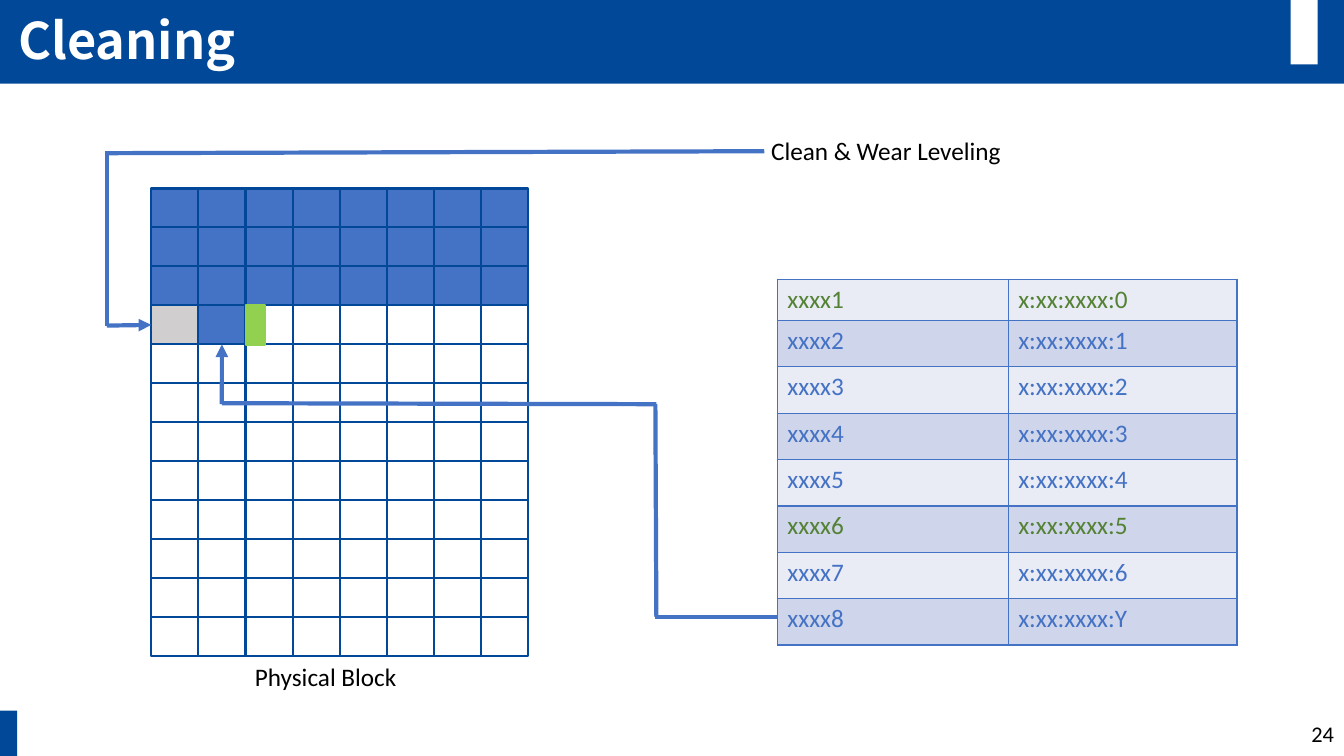
from lxml import etree
from pptx import Presentation
from pptx.dml.color import RGBColor
from pptx.enum.shapes import MSO_CONNECTOR, MSO_SHAPE
from pptx.enum.text import MSO_ANCHOR, MSO_AUTO_SIZE, PP_ALIGN
from pptx.oxml.ns import qn
from pptx.util import Inches, Pt

RECTANGLE = MSO_SHAPE.RECTANGLE
STRAIGHT = MSO_CONNECTOR.STRAIGHT
TOP, MIDDLE, BOTTOM = MSO_ANCHOR.TOP, MSO_ANCHOR.MIDDLE, MSO_ANCHOR.BOTTOM
LEFT, RIGHT = PP_ALIGN.LEFT, PP_ALIGN.RIGHT
NO_FIT = MSO_AUTO_SIZE.NONE

NAVY, BLUE, WHITE, BLACK = "014898", "4472C4", "FFFFFF", "000000"
GREY, LIME, GREEN = "D0CECE", "92D050", "548235"
PALE_BANDS = ["E9EBF5", "CFD5EA"]


def paint(fill, color):
    fill.solid()
    fill.fore_color.rgb = RGBColor.from_string(color)


def add_block(bounds, color, outline=None):
    block = slide.shapes.add_shape(RECTANGLE, *map(Inches, bounds))
    block.shadow.inherit = False
    paint(block.fill, color)
    if outline:
        paint(block.line.fill, outline)
        block.line.width = Pt(1.5)
    else:
        block.line.fill.background()
    return block


presentation = Presentation()
presentation.slide_width = Inches(13.33)
presentation.slide_height = Inches(7.5)
slide = presentation.slides.add_slide(presentation.slide_layouts[5])

add_block((0, 0, 13.33, 0.83), NAVY)
add_block((12.8, 0, 0.27, 0.64), WHITE)
add_block((-0.01, 7.05, 0.18, 0.46), NAVY)

heading = slide.shapes.title
heading.element.getparent().append(heading.element)
heading_bounds = {"left": 0.08, "top": -0.08, "width": 11.5, "height": 0.83}
for side, length in heading_bounds.items():
    setattr(heading, side, Inches(length))

page_number, block_caption, cleaning_label = [
    slide.shapes.add_textbox(*map(Inches, bounds))
    for bounds in [
        (10.33, 7.08, 3, 0.4),
        (2.43, 6.51, 1.65, 0.4),
        (7.55, 1.29, 2.78, 0.4),
    ]
]
body_font = {"name": "Calibri", "size": Pt(18)}
captions = [
    (heading, "Cleaning", WHITE, BOTTOM,
     {"alignment": LEFT, "line_spacing": 0.9},
     {"name": "Noto Sans CJK KR", "size": Pt(36), "bold": True}),
    (page_number, "24", BLACK, MIDDLE, {"alignment": RIGHT},
     {"name": "Calibri", "size": Pt(16)}),
    (block_caption, "Physical Block", BLACK, TOP, {"alignment": LEFT}, body_font),
    (cleaning_label, "Clean & Wear Leveling", BLACK, TOP, {"alignment": LEFT}, body_font),
]
for holder, wording, color, anchor, paragraph_format, font_format in captions:
    frame = holder.text_frame
    frame.text = wording
    frame_format = {"word_wrap": True, "auto_size": NO_FIT, "vertical_anchor": anchor}
    paragraph = frame.paragraphs[0]
    font = paragraph.runs[0].font
    for target, values in [
        (frame, frame_format), (paragraph, paragraph_format), (font, font_format)
    ]:
        for attribute, value in values.items():
            setattr(target, attribute, value)
    paint(font.fill, color)

PAGE_COLUMNS, PAGE_ROWS, FULL_ROWS = 8, 12, 3
page_width, page_height = 3.74 / PAGE_COLUMNS, 4.64 / PAGE_ROWS
special_pages = {(FULL_ROWS, 0): GREY, (FULL_ROWS, 1): BLUE}
pages = {}
for row in range(PAGE_ROWS):
    for column in range(PAGE_COLUMNS):
        default = BLUE if row < FULL_ROWS else WHITE
        pages[row, column] = add_block(
            (1.5 + column * page_width, 1.87 + row * page_height, page_width, page_height),
            special_pages.get((row, column), default),
            NAVY,
        )
add_block((2.44, 3.03, 0.19, 0.39), LIME, LIME)
stale_page = pages[FULL_ROWS, 0]
written_page = pages[FULL_ROWS, 1]

addresses = [(f"xxxx{index + 1}", f"x:xx:xxxx:{suffix}") for index, suffix in enumerate("0123456Y")]
mapping = slide.shapes.add_table(
    len(addresses), 2, *map(Inches, (7.71, 2.77, 4.56, 3.62))
).table
mapping.first_row = False
mapping.horz_banding = False
for column, width in zip(mapping.columns, (2.29, 2.27)):
    column.width = Inches(width)
for index, address in enumerate(addresses):
    mapping.rows[index].height = Inches(0.46 if index else 0.41)
    for column, wording in enumerate(address):
        cell = mapping.cell(index, column)
        cell.text = wording
        font = cell.text_frame.paragraphs[0].runs[0].font
        for attribute, value in body_font.items():
            setattr(font, attribute, value)
        paint(font.fill, GREEN if index in (0, 5) else BLUE)
        paint(cell.fill, PALE_BANDS[index % 2])
        properties = cell._tc.get_or_add_tcPr()
        for position, edge in enumerate(("a:lnL", "a:lnR", "a:lnT", "a:lnB")):
            border = etree.Element(qn(edge), w=str(Pt(1)))
            border_fill = etree.SubElement(border, qn("a:solidFill"))
            etree.SubElement(border_fill, qn("a:srgbClr"), val=BLUE)
            properties.insert(position, border)

routes = [
    ((2.2, 4.01), (2.2, 3.42), written_page, 2),
    ((2.2, 4), (6.51, 4.01), None, None),
    ((6.5, 4.01), (6.51, 6.12), None, None),
    ((6.5, 6.12), (7.71, 6.12), None, None),
    ((1.06, 3.23), (1.5, 3.23), stale_page, 1),
    ((1.06, 1.5), (1.06, 3.23), None, None),
    ((1.05, 1.52), (7.58, 1.5), None, None),
]
for start, end, target_page, side in routes:
    route = slide.shapes.add_connector(STRAIGHT, *map(Inches, start + end))
    paint(route.line.fill, BLUE)
    route.line.width = Pt(3)
    if target_page:
        route.end_connect(target_page, side)
        etree.SubElement(route.line._get_or_add_ln(), qn("a:tailEnd"), type="triangle")
    etree.SubElement(route.element.spPr, qn("a:effectLst"))

presentation.save("out.pptx")
